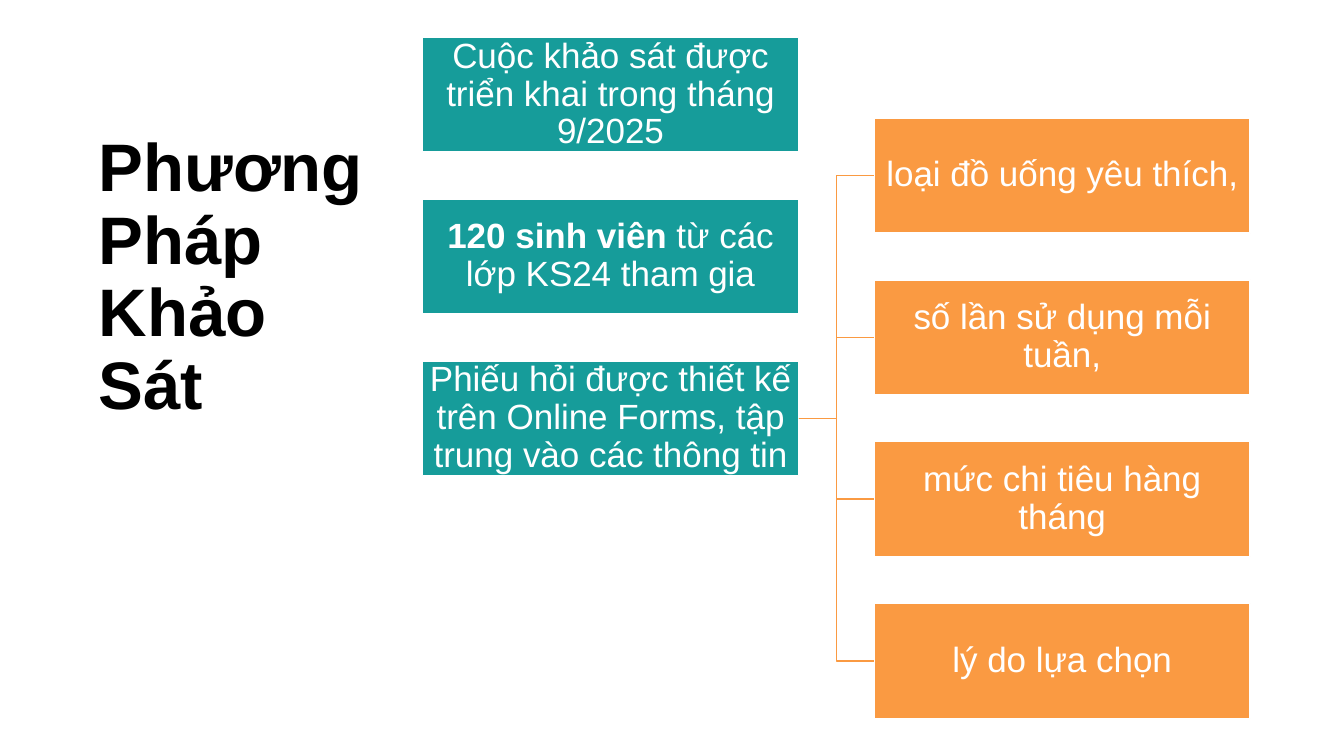
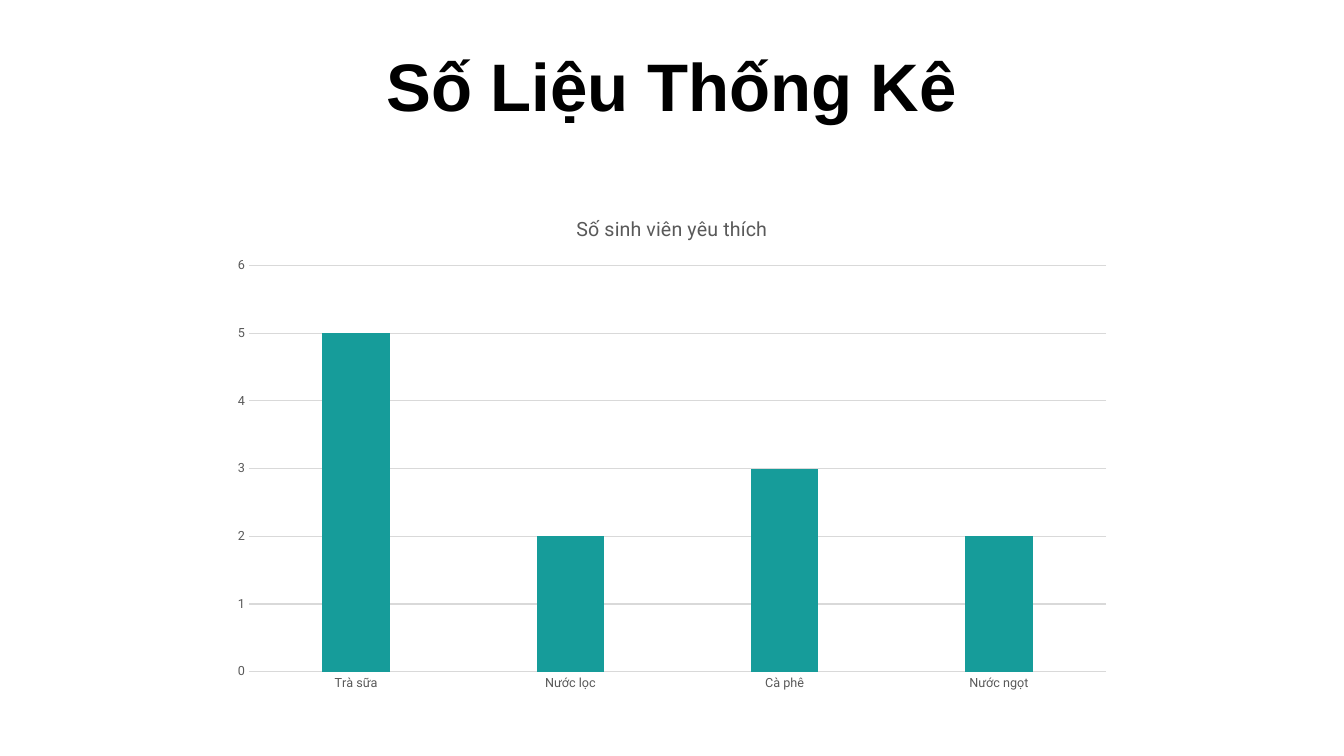
import pptx
import pptx.util
import pptx.dml.color
import pptx.chart.data
import pptx.enum.chart
import pptx.enum.shapes
import pptx.enum.text
import pptx.oxml.ns
import lxml.etree

WIDTH, HEIGHT = 13.33, 7.5
TEAL, ORANGE, WHITE, BLACK = "169C9A", "FA9A42", "FFFFFF", "000000"
GRID_GREY, LABEL_GREY = "D9D9D9", "595959"
ARIAL, ROBOTO = "Arial", "Roboto"

COLUMN_LEFT, COLUMN_PITCH = 4.19, 4.48
ROW_TOP, ROW_PITCH = 0.37, 1.605
BOX_WIDTH, BOX_HEIGHT = 3.73, 1.14
LEFT_SITE, RIGHT_SITE = 1, 3

ALIGN = pptx.enum.text.PP_ALIGN
ANCHOR = pptx.enum.text.MSO_ANCHOR

TITLE_FONT = {"name": ARIAL, "size": pptx.util.Pt(48), "bold": True}
BOX_FONT = {"name": ARIAL, "size": pptx.util.Pt(25)}
AXIS_FONT = {"name": ROBOTO, "size": pptx.util.Pt(9)}
CHART_TITLE_FONT = {"name": ROBOTO, "size": pptx.util.Pt(14), "bold": False}
BOX_MARGINS = {
    side: pptx.util.Inches(0.02)
    for side in ("margin_left", "margin_top", "margin_right", "margin_bottom")
}

METHODS = [
    [("Cuộc khảo sát được triển khai trong tháng 9/2025", False)],
    [("120 sinh viên", True), (" từ các lớp KS24 tham gia", False)],
    [("Phiếu hỏi được thiết kế trên Online Forms, tập trung vào các thông tin", False)],
]
TOPICS = [
    "loại đồ uống yêu thích,",
    "số lần sử dụng mỗi tuần,",
    "mức chi tiêu hàng tháng",
    "lý do lựa chọn",
]
FAVOURITES = {"Trà sữa": 5, "Nước lọc": 2, "Cà phê": 3, "Nước ngọt": 2}
FAVOURITES_TITLE = "Số sinh viên yêu thích"


def rgb(hex_colour):
    return pptx.dml.color.RGBColor.from_string(hex_colour)


def inches(*lengths):
    return [pptx.util.Inches(length) for length in lengths]


def apply(target, values):
    for name, value in values.items():
        setattr(target, name, value)


def set_font(font, values, colour):
    apply(font, values)
    font.color.rgb = rgb(colour)


def set_fill(fill, colour):
    fill.solid()
    fill.fore_color.rgb = rgb(colour)


def set_line(line, colour, width):
    set_fill(line.fill, colour)
    line.width = pptx.util.Pt(width)


def write(frame, runs, font, colour, align, frame_format):
    apply(frame, {"word_wrap": True, **frame_format})
    paragraph = frame.paragraphs[0]
    apply(paragraph, {"alignment": align, "line_spacing": 0.9})
    for text, bold in runs:
        run = paragraph.add_run()
        run.text = text
        set_font(run.font, {**font, "bold": bold}, colour)


def add_slide(deck):
    slide = deck.slides.add_slide(deck.slide_layouts[6])
    set_fill(slide.background.fill, WHITE)
    return slide


def add_title(slide, text, area, align, anchor):
    title = slide.shapes.add_textbox(*inches(*area))
    write(title.text_frame, [(text, True)], TITLE_FONT, BLACK, align,
          {"vertical_anchor": anchor})


def add_box(slide, column, row, runs, colour):
    box = slide.shapes.add_shape(
        pptx.enum.shapes.MSO_SHAPE.RECTANGLE,
        *inches(COLUMN_LEFT + column * COLUMN_PITCH, ROW_TOP + row * ROW_PITCH,
                BOX_WIDTH, BOX_HEIGHT))
    box.shadow.inherit = False
    set_fill(box.fill, colour)
    set_line(box.line, WHITE, 1)
    write(box.text_frame, runs, BOX_FONT, WHITE, ALIGN.CENTER,
          {"vertical_anchor": ANCHOR.MIDDLE, **BOX_MARGINS})
    return box


def add_branch(slide, parent, child):
    branch = slide.shapes.add_connector(
        pptx.enum.shapes.MSO_CONNECTOR.ELBOW, 0, 0, 0, 0)
    branch.begin_connect(parent, RIGHT_SITE)
    branch.end_connect(child, LEFT_SITE)
    set_line(branch.line, ORANGE, 1)
    lxml.etree.SubElement(branch._element.spPr, pptx.oxml.ns.qn("a:effectLst"))


def style_axis(axis, values):
    tick_mark = pptx.enum.chart.XL_TICK_MARK.NONE
    apply(axis, {"major_tick_mark": tick_mark, "minor_tick_mark": tick_mark, **values})
    set_font(axis.tick_labels.font, AXIS_FONT, LABEL_GREY)


def add_column_chart(slide, heading, counts, area):
    chart_data = pptx.chart.data.CategoryChartData()
    chart_data.categories = list(counts)
    chart_data.add_series(heading, list(counts.values()))
    chart = slide.shapes.add_chart(
        pptx.enum.chart.XL_CHART_TYPE.COLUMN_CLUSTERED, *inches(*area), chart_data).chart
    apply(chart, {"has_legend": False, "has_title": True})
    set_font(chart.font, {"name": ROBOTO, "size": pptx.util.Pt(10)}, BLACK)

    chart.chart_title.include_in_layout = False
    chart.chart_title.text_frame.text = heading
    heading_run = chart.chart_title.text_frame.paragraphs[0].runs[0]
    set_font(heading_run.font, CHART_TITLE_FONT, LABEL_GREY)

    plot = chart.plots[0]
    apply(plot, {"gap_width": 219, "overlap": -27, "vary_by_categories": False})
    set_fill(plot.series[0].format.fill, TEAL)

    style_axis(chart.category_axis, {"has_major_gridlines": False})
    set_line(chart.category_axis.format.line, GRID_GREY, 0.75)
    style_axis(chart.value_axis, {"has_major_gridlines": True, "minimum_scale": 0,
                                  "maximum_scale": 6, "major_unit": 1})
    chart.value_axis.format.line.fill.background()
    set_line(chart.value_axis.major_gridlines.format.line, GRID_GREY, 0.75)


def build_method_slide(deck):
    slide = add_slide(deck)
    add_title(slide, "Phương Pháp Khảo Sát", (0.88, 0.58, 2.85, 4.37),
              ALIGN.LEFT, ANCHOR.MIDDLE)
    methods = [add_box(slide, 0, row, runs, TEAL) for row, runs in enumerate(METHODS)]
    for row, topic in enumerate(TOPICS):
        topic_box = add_box(slide, 1, row + 0.5, [(topic, False)], ORANGE)
        add_branch(slide, methods[-1], topic_box)


def build_statistics_slide(deck):
    slide = add_slide(deck)
    add_title(slide, "Số Liệu Thống Kê", (1.89, 0.55, 9.55, 0.75),
              ALIGN.CENTER, ANCHOR.BOTTOM)
    add_column_chart(slide, FAVOURITES_TITLE, FAVOURITES, (2.18, 1.95, 8.97, 5))


def main():
    deck = pptx.Presentation()
    deck.slide_width, deck.slide_height = inches(WIDTH, HEIGHT)
    build_method_slide(deck)
    build_statistics_slide(deck)
    deck.save("out.pptx")


if __name__ == "__main__":
    main()
